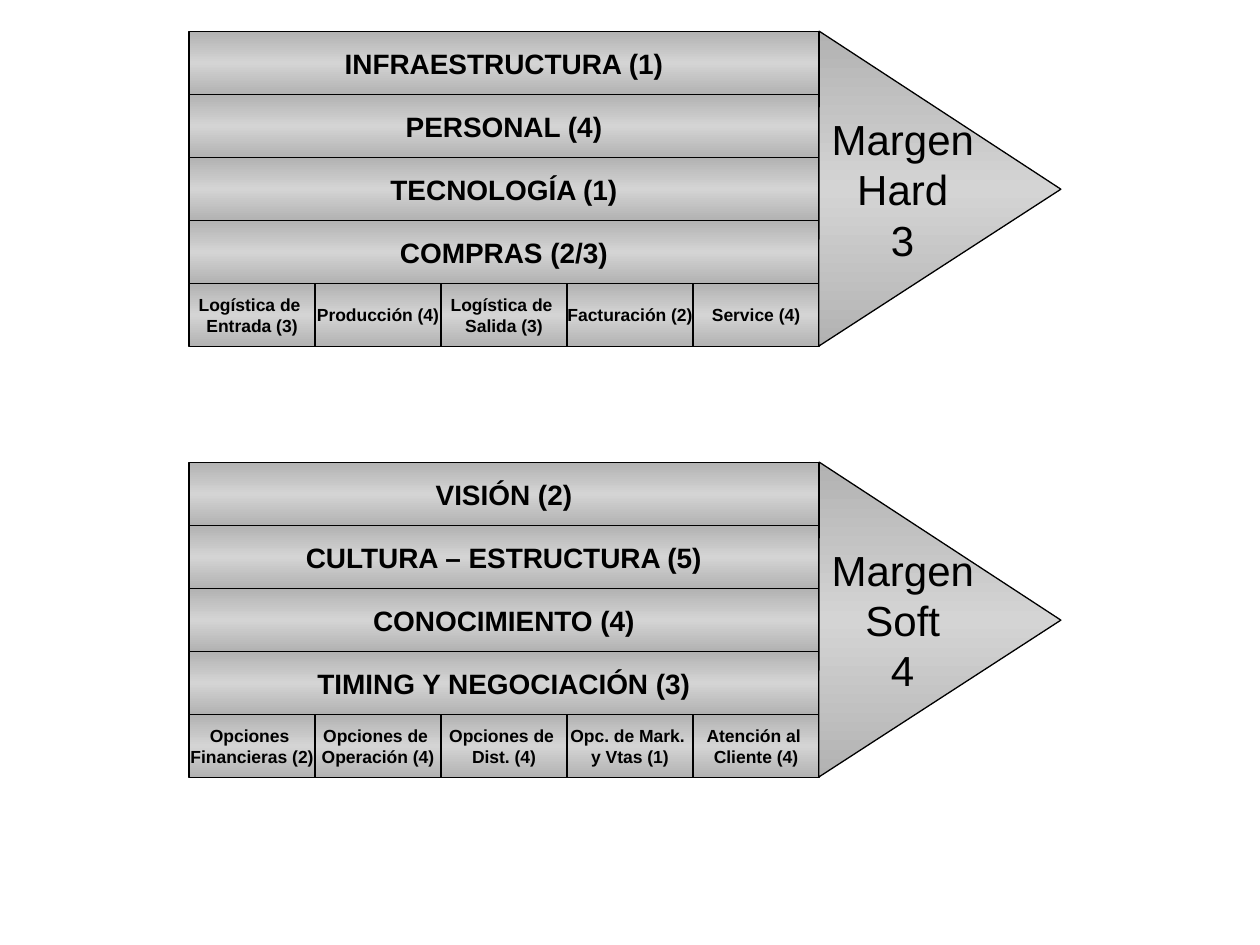
from pptx import Presentation
from pptx import util as u
from pptx import oxml
from pptx.dml import color
from pptx.enum import shapes, text
from pptx.oxml import ns

LEFT, WIDTH, ROW = 1.5, 5, 0.5
DARK, LIGHT, BLACK = "B2B2B2", "D4D4D4", "000000"
CHAINS = [
    (0.25,
     ["INFRAESTRUCTURA (1)", "PERSONAL (4)", "TECNOLOGÍA (1)", "COMPRAS (2/3)"],
     ["Logística de \nEntrada (3)", "Producción (4)", "Logística de \nSalida (3)",
      "Facturación (2)", "Service (4)"],
     "Margen\nHard\n3"),
    (3.67,
     ["VISIÓN (2)", "CULTURA – ESTRUCTURA (5)", "CONOCIMIENTO (4)",
      "TIMING Y NEGOCIACIÓN (3)"],
     ["Opciones \nFinancieras (2)", "Opciones de \nOperación (4)",
      "Opciones de \nDist. (4)", "Opc. de Mark. \ny Vtas (1)",
      "Atención al \nCliente (4)"],
     "Margen\nSoft\n4"),
]


def rgb(code):
    return color.RGBColor.from_string(code)


def shade(shape):
    stops = "".join(
        f'<a:gs pos="{pos}"><a:srgbClr val="{code}"/></a:gs>'
        for pos, code in ((0, DARK), (50000, LIGHT), (100000, DARK)))
    grad = oxml.parse_xml(
        f'<a:gradFill {ns.nsdecls("a")} rotWithShape="0"><a:gsLst>{stops}</a:gsLst>'
        '<a:lin ang="5400000" scaled="1"/></a:gradFill>')
    shape.element.spPr.find(ns.qn("a:prstGeom")).addnext(grad)


def block(slide, kind, box, label, size, bold):
    shape = slide.shapes.add_shape(kind, *map(u.Inches, box))
    shape.shadow.inherit = False
    shade(shape)
    shape.line.color.rgb = rgb(BLACK)
    shape.line.width = u.Pt(0.75)
    frame = shape.text_frame
    frame.word_wrap = False
    frame.vertical_anchor = text.MSO_ANCHOR.MIDDLE
    frame.text = label
    style = {"name": "Arial", "size": u.Pt(size), "bold": bold}
    for para in frame.paragraphs:
        para.alignment = text.PP_ALIGN.CENTER
        for run in para.runs:
            for key, value in style.items():
                setattr(run.font, key, value)
            run.font.color.rgb = rgb(BLACK)
    return shape


def cell(slide, box, label, size):
    block(slide, shapes.MSO_SHAPE.RECTANGLE, box, label, size, True)


def margin(slide, top, label):
    box = (6.21, top + 0.29, 2.5, 1.92)
    shape = block(slide, shapes.MSO_SHAPE.ISOSCELES_TRIANGLE, box, label, 24, False)
    shape.rotation = 90.1
    frame = shape.text_frame
    pads = {"margin_left": 0.05, "margin_top": 0.1,
            "margin_right": 0.05, "margin_bottom": 0.1}
    for key, value in pads.items():
        setattr(frame, key, u.Inches(value))
    body = shape.element.txBody.find(ns.qn("a:bodyPr"))
    body.set("rot", "10800000")
    body.set("vert", "eaVert")


def chain(slide, top, wide, small, label):
    for i, name in enumerate(wide):
        cell(slide, (LEFT, top + i * ROW, WIDTH, ROW), name, 16)
    step = WIDTH / len(small)
    base = top + len(wide) * ROW
    for i, name in enumerate(small):
        cell(slide, (LEFT + i * step, base, step, ROW), name, 10)
    margin(slide, top, label)


def main():
    deck = Presentation()
    deck.slide_width, deck.slide_height = u.Inches(10), u.Inches(7.5)
    slide = deck.slides.add_slide(deck.slide_layouts[6])
    for parts in CHAINS:
        chain(slide, *parts)
    deck.save("out.pptx")


if __name__ == "__main__":
    main()
